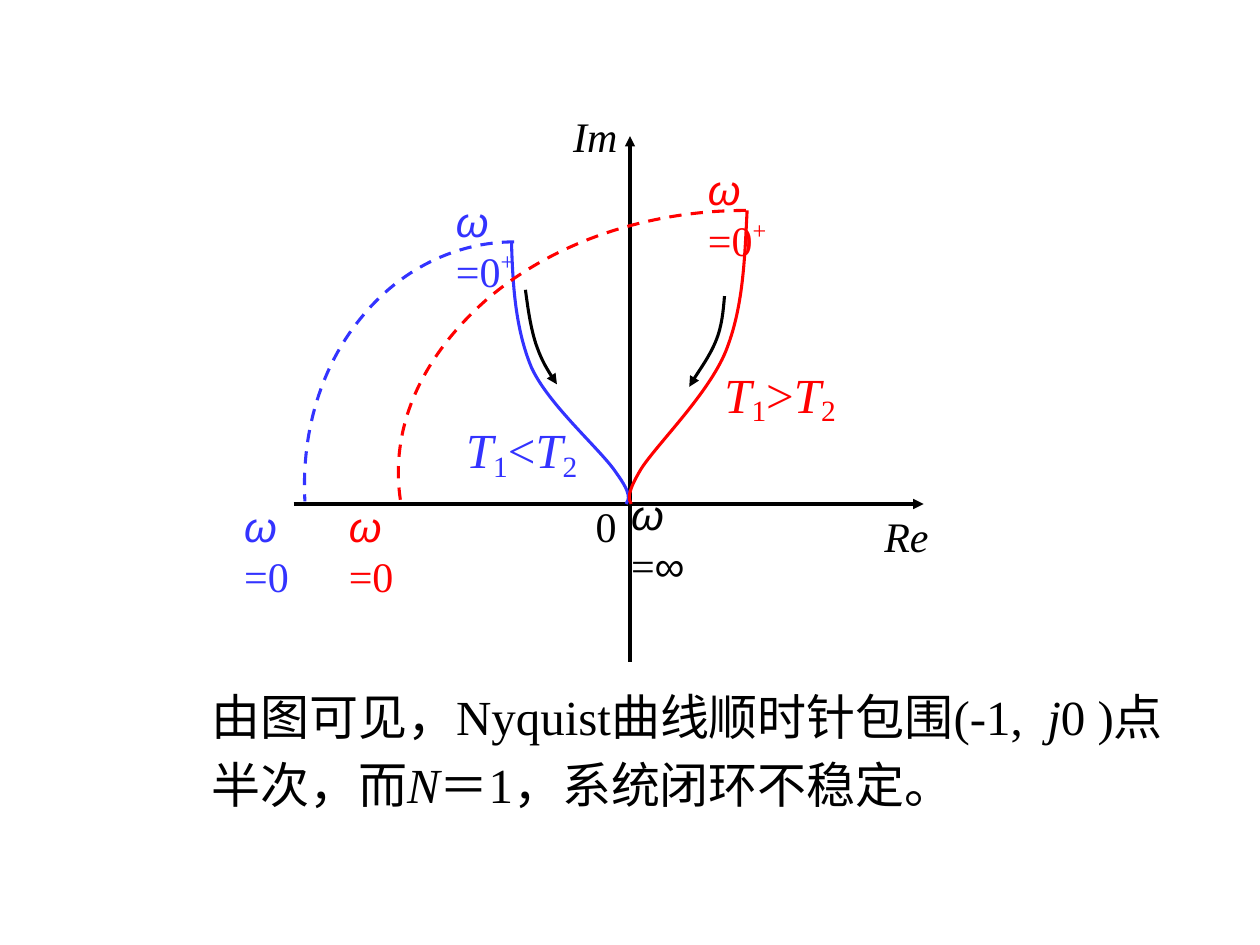
from pptx import Presentation
from pptx.dml.color import RGBColor as RGB
from pptx.enum.dml import MSO_LINE as Dash
from pptx.enum.shapes import MSO_CONNECTOR as Conn
from pptx.enum.text import MSO_AUTO_SIZE as Auto
from pptx.oxml.ns import qn
from pptx.util import Inches, Pt
from lxml.etree import SubElement as Sub

BLACK = RGB(0, 0, 0)
BLUE = RGB(0x33, 0x33, 0xFF)
RED = RGB(0xFF, 0, 0)

SERIF, SANS = "Times New Roman", "Arial"

# Run formats: font attributes, with "base" as the raised or lowered percent
PLAIN = {"name": SERIF, "size": Pt(24), "italic": False}
ITAL = {**PLAIN, "italic": True}
OMEGA = {**ITAL, "name": SANS}
INF = {**PLAIN, "name": SANS}
SUPER = {**PLAIN, "base": 40}
BIG = {**PLAIN, "size": Pt(28)}
BIG_I = {**BIG, "italic": True}
LOWER = {**PLAIN, "size": Pt(29), "base": -16}

ZERO = [("ω", OMEGA), (" =0", PLAIN)]
PLUS = ZERO + [("+", SUPER)]


def add_text(slide, box, runs, color, wrap=True, space=None):
    """One paragraph of formatted runs in a text box."""
    shape = slide.shapes.add_textbox(*map(Inches, box))
    frame = shape.text_frame
    frame.word_wrap = wrap
    frame.auto_size = Auto.SHAPE_TO_FIT_TEXT
    para = frame.paragraphs[0]
    if space:
        para.line_spacing = space
    for text, form in runs:
        run = para.add_run()
        run.text = text
        run.font.color.rgb = color
        for key, value in form.items():
            if key == "base":
                run.font._element.set("baseline", str(value * 1000))
            else:
                setattr(run.font, key, value)


def set_line(shape, color, dash=None, arrow=False):
    line = shape.line
    line.color.rgb = color
    line.width = Pt(1.75)
    if dash:
        line.dash_style = dash
    if arrow:
        Sub(line._get_or_add_ln(), qn("a:tailEnd"), type="triangle")


def add_axis(slide, start, end):
    axis = slide.shapes.add_connector(Conn.STRAIGHT, *map(Inches, start + end))
    set_line(axis, BLACK, arrow=True)
    Sub(axis._element.spPr, qn("a:effectLst"))


def add_curve(slide, knots, color, **style):
    """Joined cubic segments: a start point, then three knots for each."""
    start, *rest = [(Inches(x), Inches(y)) for x, y in knots]
    build = slide.shapes.build_freeform(*start)
    build.add_line_segments(rest, close=False)
    shape = build.convert_to_shape()

    # Turn each three straight steps into one Bezier segment
    route = next(shape._element.iter(qn("a:path")))
    steps = route.findall(qn("a:lnTo"))
    for i in range(0, len(steps), 3):
        cubic = Sub(route, qn("a:cubicBezTo"))
        for step in steps[i:i + 3]:
            cubic.append(step[0])
            route.remove(step)

    shape.shadow.inherit = False
    shape.fill.background()
    set_line(shape, color, **style)


def draw_plot(slide, left, top):
    """Nyquist plot with its axes, curves and labels."""
    def at(x, y):
        return left + x, top + y

    # Axes
    add_axis(slide, at(0.33, 3), at(5.33, 3))
    add_axis(slide, at(3, 4.25), at(3, 0.08))

    # Curves, closing arcs and direction arrows
    dash, arrow = {"dash": Dash.DASH}, {"arrow": True}
    curves = [
        (BLUE, {}, [(2.06, 0.92), (2.07, 1.26), (2.09, 1.61), (2.22, 1.92),
                    (2.36, 2.22), (2.77, 2.57), (2.89, 2.75),
                    (3.02, 2.93), (2.99, 2.96), (2.97, 3)]),
        (RED, {}, [(3.93, 0.67), (3.91, 1.06), (3.9, 1.44), (3.76, 1.79),
                   (3.62, 2.13), (3.22, 2.52), (3.09, 2.72),
                   (2.97, 2.92), (2.99, 2.96), (3.01, 3)]),
        (BLUE, dash, [(2.08, 0.92), (1.62, 0.92), (1.17, 1.14), (0.86, 1.53),
                      (0.54, 1.92), (0.39, 2.45), (0.42, 2.98)]),
        (RED, dash, [(3.92, 0.67), (3.13, 0.67), (2.38, 0.93), (1.86, 1.38),
                     (1.34, 1.84), (1.09, 2.4), (1.18, 2.98)]),
        (BLACK, arrow, [(3.75, 1.35), (3.74, 1.47), (3.73, 1.59), (3.68, 1.71),
                        (3.63, 1.83), (3.5, 2.01), (3.47, 2.07)]),
        (BLACK, arrow, [(2.17, 1.3), (2.19, 1.45), (2.21, 1.59), (2.25, 1.72),
                        (2.29, 1.84), (2.35, 1.95), (2.42, 2.05)]),
    ]
    for color, style, knots in curves:
        add_curve(slide, [at(*knot) for knot in knots], color, **style)

    # Frequency labels, which wrap after the omega
    for x, y, wide, runs, color in [
        (0.67, 2.92, 0.86, ZERO, RED),
        (-0.16, 2.92, 0.86, ZERO, BLUE),
        (1.52, 0.5, 0.97, PLUS, BLUE),
        (3.52, 0.25, 0.97, PLUS, RED),
        (2.91, 2.83, 0.95, [("ω", OMEGA), (" =", PLAIN), ("∞", INF)], BLACK),
    ]:
        add_text(slide, (*at(x, y), wide, 0.5), runs, color)

    # Axis names and origin
    for x, y, wide, text, form in [
        (2.63, 2.92, 0.36, "0", PLAIN),
        (4.92, 3, 0.55, "Re", ITAL),
        (2.45, -0.17, 0.55, "Im", ITAL),
    ]:
        add_text(slide, (*at(x, y), wide, 0.5), [(text, form)], BLACK, False)

    # Time constant conditions
    for x, y, sign, color in [(1.6, 2.27, "<", BLUE), (3.65, 1.83, ">", RED)]:
        runs = [("T", BIG_I), ("1", LOWER), (sign, BIG),
                ("T", BIG_I), ("2", LOWER)]
        add_text(slide, (*at(x, y), 1.12, 0.62), runs, color)


def add_note(slide, box):
    """Conclusion under the plot."""
    runs = [("由图可见，Nyquist曲线顺时针包围(-1,  ", BIG), ("j", BIG_I),
            ("0 )点半次，而", BIG), ("N", BIG_I),
            ("＝1，系统闭环不稳定。", BIG)]
    add_text(slide, box, runs, BLACK, space=1.15)


def main():
    deck = Presentation()
    deck.slide_width, deck.slide_height = Inches(10), Inches(7.5)
    slide = deck.slides.add_slide(deck.slide_layouts[6])
    draw_plot(slide, 2, 1)
    add_note(slide, (1.58, 5.33, 7.75, 1.18))
    deck.save("out.pptx")


if __name__ == "__main__":
    main()
